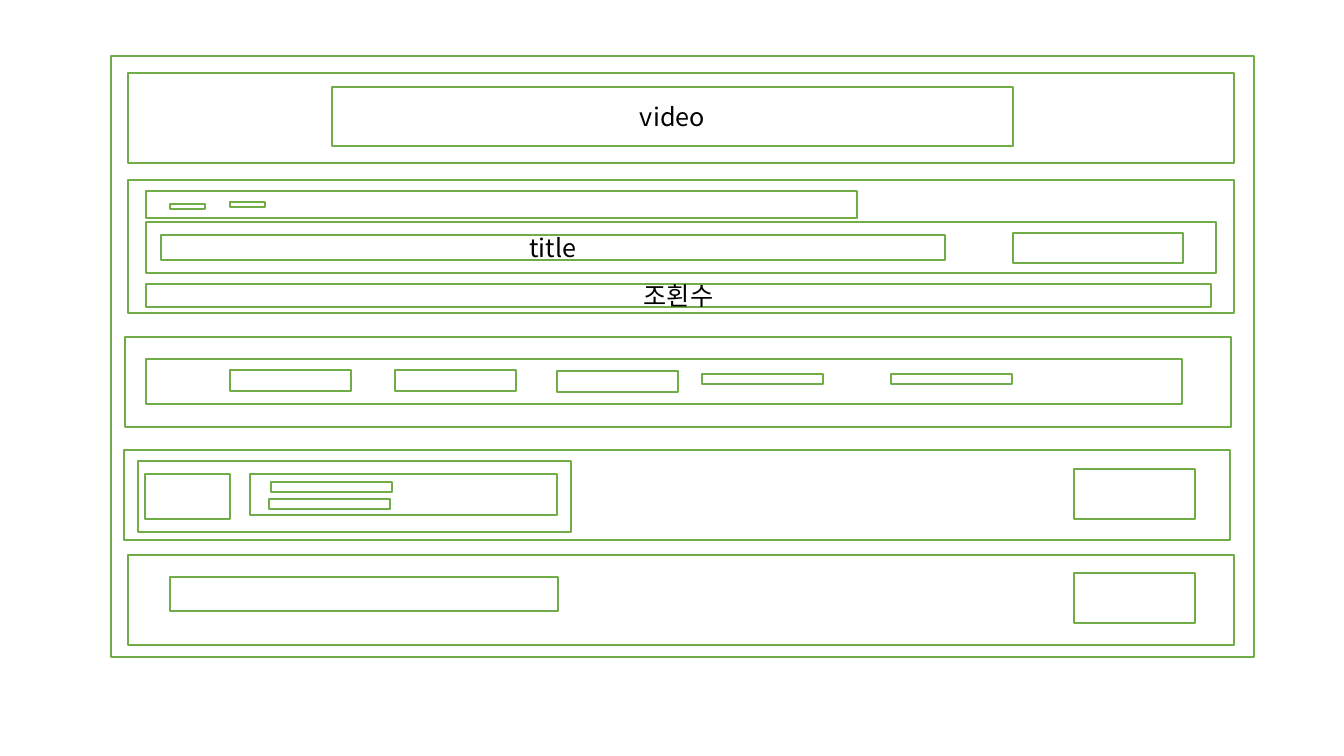
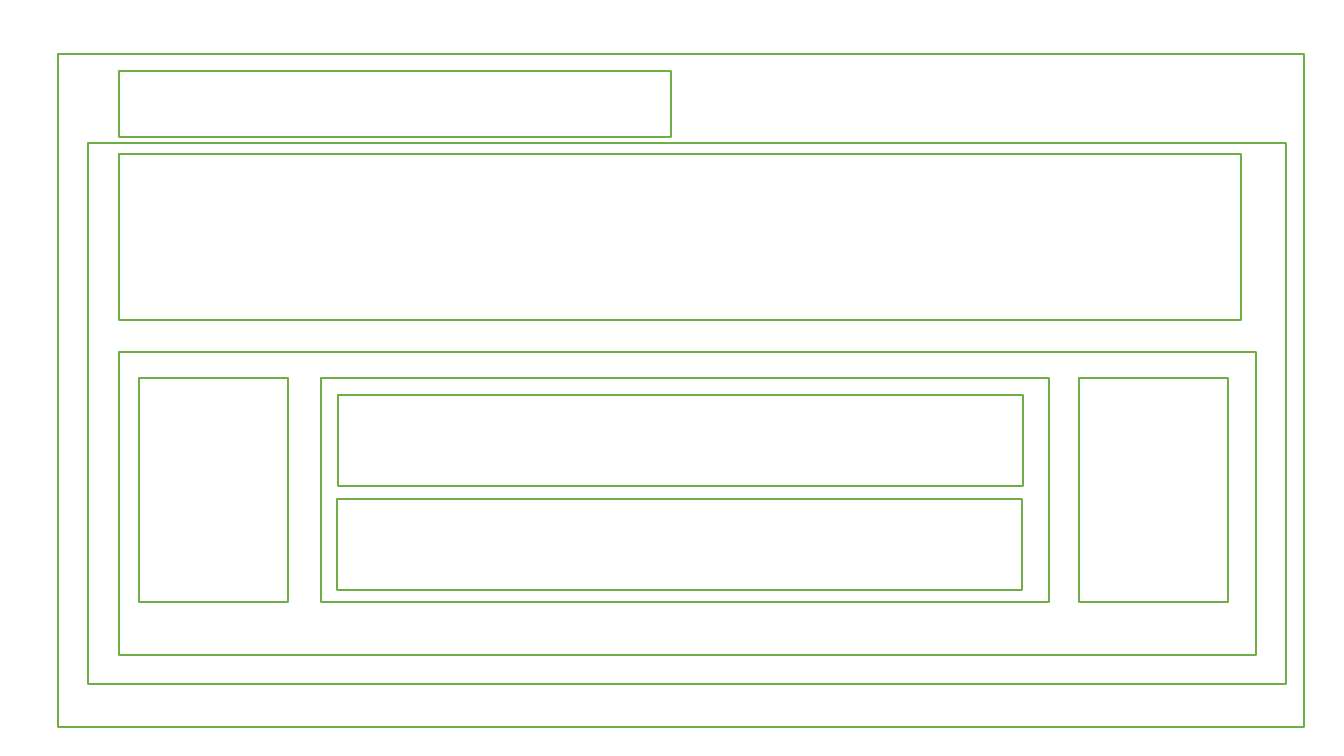
from lxml.etree import SubElement
from pptx import Presentation
from pptx.dml.color import RGBColor
from pptx.enum.shapes import MSO_SHAPE
from pptx.enum.text import MSO_ANCHOR, PP_ALIGN
from pptx.oxml.ns import qn
from pptx.util import Emu, Pt

SLIDE_WIDTH, SLIDE_HEIGHT = 1344, 756
EMU_PER_PIXEL = 12192000 / SLIDE_WIDTH


def pixels(length):
    """Turn whole pixels into EMU."""
    return Emu(round(length * EMU_PER_PIXEL))


def color(value):
    """Turn a hex string into a colour."""
    return RGBColor.from_string(value)


def apply(target, values):
    """Set each named attribute on the target."""
    for name, value in values.items():
        setattr(target, name, value)


class Wireframe:
    """Holds the shared style and the slide being drawn."""

    FILL, LINE, TEXT = "FFFFFF", "70AD47", "000000"
    FONT = {"name": "Noto Sans CJK KR", "size": Pt(18)}
    FRAME = {"word_wrap": True, "vertical_anchor": MSO_ANCHOR.MIDDLE}

    def __init__(self):
        """Start an empty widescreen presentation."""
        self.presentation = Presentation()
        apply(self.presentation, {"slide_width": pixels(SLIDE_WIDTH),
                                  "slide_height": pixels(SLIDE_HEIGHT)})
        self.slide = None

    def add_slide(self):
        """Make a blank slide the current one."""
        layout = self.presentation.slide_layouts[6]
        self.slide = self.presentation.slides.add_slide(layout)

    def box(self, left, top, width, height, label=None):
        """Draw an outlined box, with a centred label if given."""
        bounds = [pixels(length) for length in (left, top, width, height)]
        shape = self.slide.shapes.add_shape(MSO_SHAPE.RECTANGLE, *bounds)
        shape.shadow.inherit = False
        shape.fill.solid()
        shape.fill.fore_color.rgb = color(self.FILL)
        shape.line.color.rgb = color(self.LINE)
        shape.line.width = Pt(1)
        if label:
            self.label(shape, label)

    def label(self, shape, text):
        """Write centred text in a shape."""
        apply(shape.text_frame, self.FRAME)
        paragraph = shape.text_frame.paragraphs[0]
        paragraph.alignment = PP_ALIGN.CENTER
        run = paragraph.add_run()
        run.text = text
        run.font.color.rgb = color(self.TEXT)
        apply(run.font, self.FONT)
        east_asian = SubElement(run.font._element, qn("a:ea"))
        east_asian.set("typeface", self.FONT["name"])

    def boxes(self, positions, width, height):
        """Draw boxes of one size at several positions."""
        for left, top in positions:
            self.box(left, top, width, height)


def draw_video_page(wireframe):
    """Draw the video page: player, heading, actions, channel, comments."""
    band_width, band_height, item_width = 1106, 90, 121
    wireframe.add_slide()
    wireframe.box(111, 56, 1143, 601)
    wireframe.boxes([(128, 73), (125, 337), (124, 450), (128, 555)],
                    band_width, band_height)

    wireframe.box(332, 87, 681, 59, "video")

    wireframe.box(128, 180, band_width, 133)
    wireframe.box(146, 191, 711, 27)
    tags = [(170, 204), (230, 202)]
    wireframe.boxes(tags, 35, 5)
    wireframe.box(146, 222, 1070, 51)
    wireframe.box(161, 235, 784, 25, "title")
    wireframe.box(1013, 233, 170, 30)
    wireframe.box(146, 284, 1065, 23, "조횐수")

    wireframe.box(146, 359, 1036, 45)
    buttons = [(230, 370), (395, 370), (557, 371)]
    wireframe.boxes(buttons, item_width, 21)

    wireframe.box(138, 461, 433, 71)
    wireframe.box(145, 474, 85, 45)
    wireframe.box(250, 474, 307, 41)
    links = [(702, 374), (891, 374)]
    channel_lines = [(271, 482), (269, 499)]
    wireframe.boxes(links + channel_lines, item_width, 10)

    wireframe.box(170, 577, 388, 34)
    side_buttons = [(1074, 469), (1074, 573)]
    wireframe.boxes(side_buttons, item_width, 50)


def draw_comment_page(wireframe):
    """Draw the comment page: heading, input area and one comment row."""
    content_left, row_top, row_height = 119, 378, 224
    wireframe.add_slide()
    wireframe.box(58, 54, 1246, 673)
    wireframe.box(88, 143, 1198, 541)
    wireframe.box(content_left, 71, 552, 66)
    wireframe.box(content_left, 154, 1122, 166)
    wireframe.box(content_left, 352, 1137, 303)
    wireframe.boxes([(139, row_top), (1079, row_top)], 149, row_height)
    wireframe.box(321, row_top, 728, row_height)
    wireframe.boxes([(338, 395), (337, 499)], 685, 91)


wireframe = Wireframe()
draw_video_page(wireframe)
draw_comment_page(wireframe)
wireframe.presentation.save("out.pptx")
